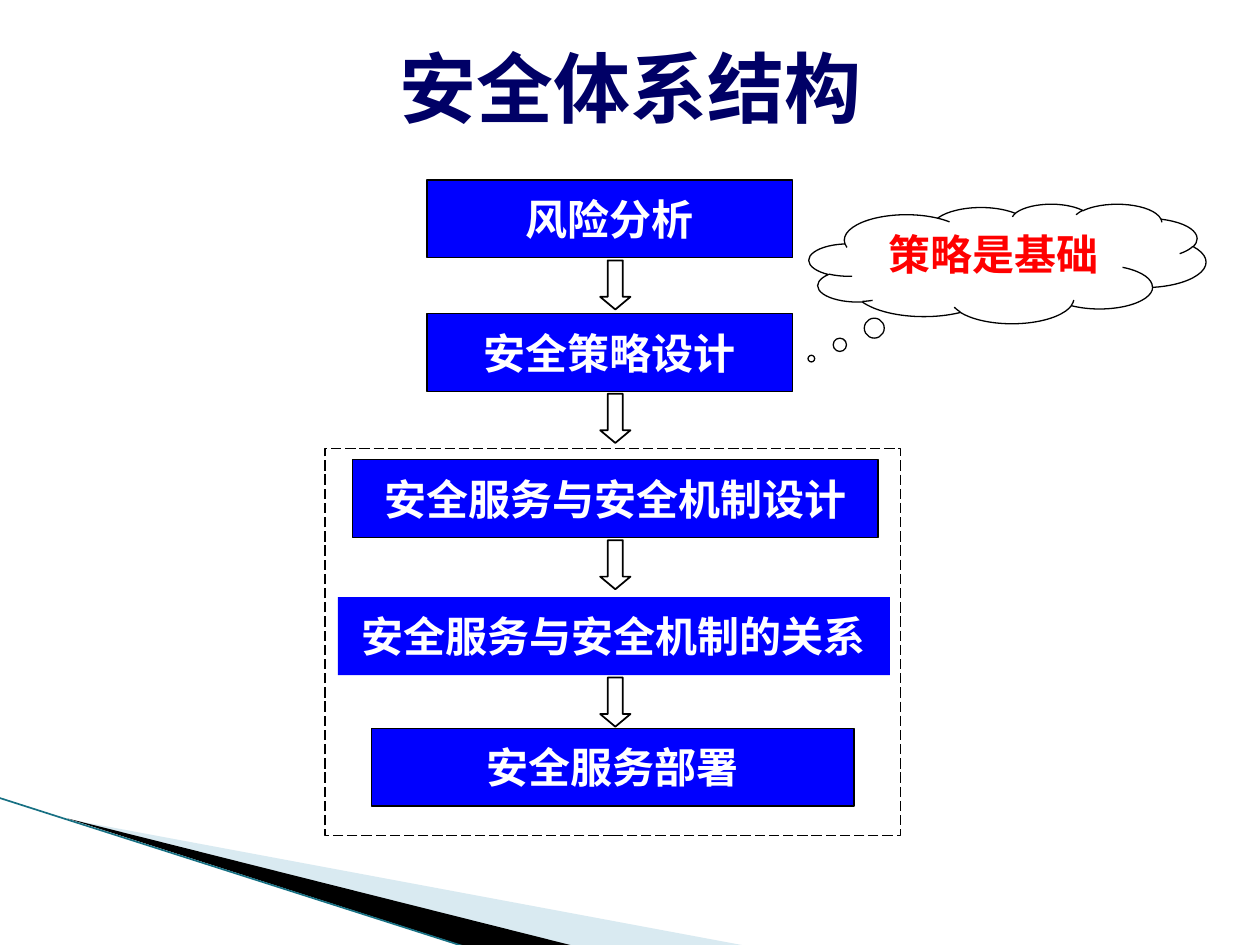
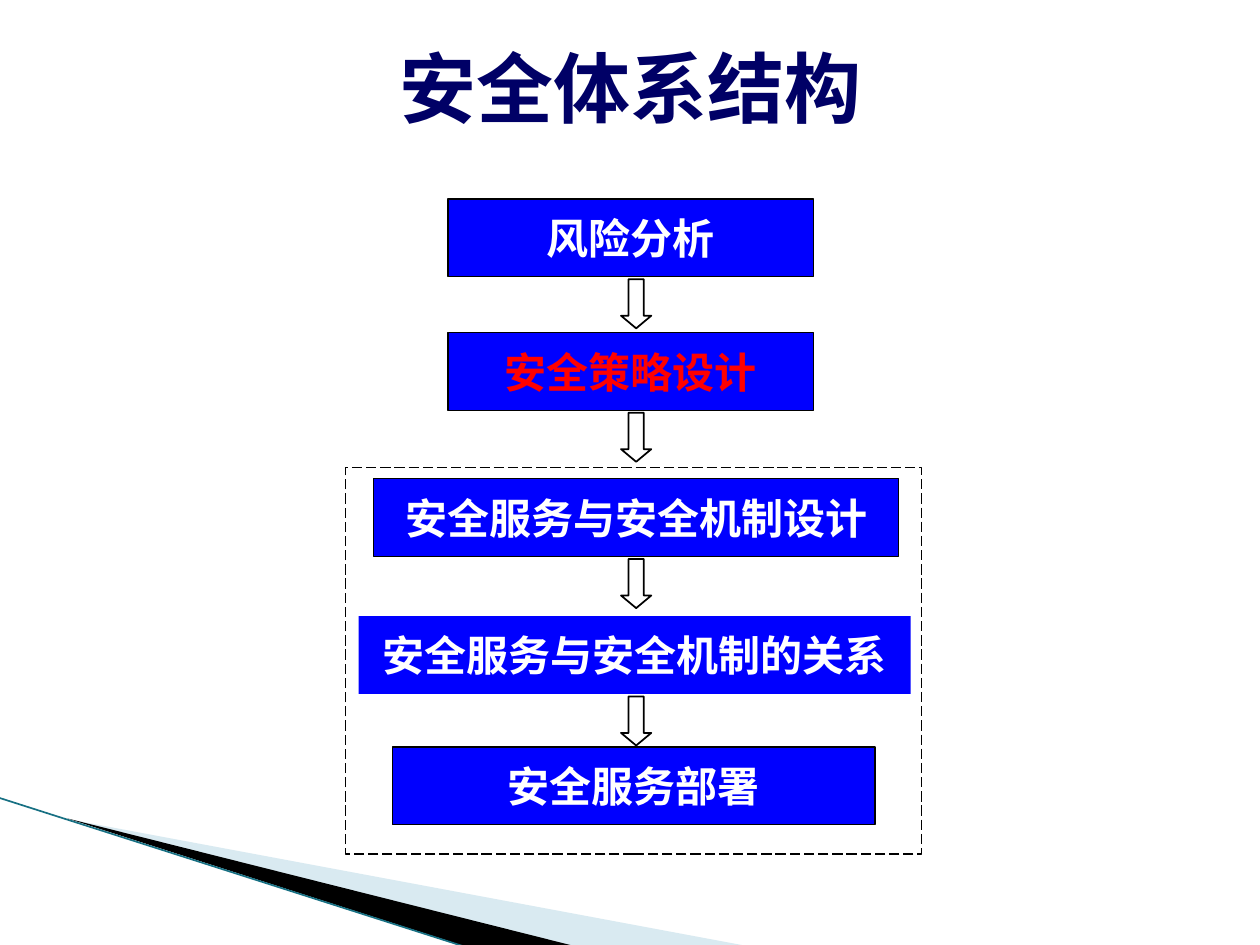
from dataclasses import dataclass
from typing import Optional

import pptx
import pptx.dml.color
import pptx.enum.dml
import pptx.enum.shapes
import pptx.enum.text
import pptx.oxml.ns
import pptx.oxml.xmlchemy
import pptx.util
from pptx.util import Cm

SHAPES = pptx.enum.shapes.MSO_SHAPE
ANCHORS = pptx.enum.text.MSO_ANCHOR

COLOURS = {
    "title": "000066",
    "step": "0000FF",
    "white": "FFFFFF",
    "black": "000000",
    "accent": "FF0000",
    "pale_wedge": "A0CBDC",
    "edge": "177083",
}
TITLE_FONT, BODY_FONT = "Courier New", "Karla"
STEP_HEIGHT = 1.57
ARROW_LEFT, ARROW_WIDTH, ARROW_HEIGHT, ARROW_GAP = 12.1, 0.61, 0.99, 0.05


@dataclass(frozen=True)
class Step:
    text: str
    left: float
    top: float
    width: float
    outlined: bool = True


@dataclass(frozen=True)
class Wedge:
    points: tuple
    colour: str
    opacity: int = 100


STEPS = (
    Step("风险分析", 8.61, 3.63, 7.37),
    Step("安全策略设计", 8.61, 6.32, 7.37),
    Step("安全服务与安全机制设计", 7.11, 9.27, 10.59),
    Step("安全服务与安全机制的关系", 6.81, 12.04, 11.13, outlined=False),
    Step("安全服务部署", 7.49, 14.68, 9.73),
)
WEDGES = (
    Wedge(((1.4, 16.52), (15.11, 19.08), (11.58, 19.08)), "pale_wedge", 40),
    Wedge(((1.36, 16.5), (11.61, 19.08), (9.45, 19.1)), "black"),
)


def rgb(name: str) -> pptx.dml.color.RGBColor:
    return pptx.dml.color.RGBColor.from_string(COLOURS[name])


def write(box, text: str, *, colour: str, size: float = 24, font: str = BODY_FONT,
          anchor=ANCHORS.MIDDLE, wrap: bool = True) -> None:
    frame = box.text_frame
    frame.word_wrap = wrap
    frame.vertical_anchor = anchor
    para = frame.paragraphs[0]
    para.alignment = pptx.enum.text.PP_ALIGN.CENTER
    span = para.add_run()
    span.text = text
    span.font.name = font
    span.font.size = pptx.util.Pt(size)
    span.font.bold = True
    span.font.color.rgb = rgb(colour)


def add_shape(page, kind, left: float, top: float, width: float, height: float, *,
              fill: Optional[str] = None, line_width: float = 0.75):
    """Place a preset shape, in centimetres; a line width of 0 means no outline."""
    shape = page.shapes.add_shape(kind, Cm(left), Cm(top), Cm(width), Cm(height))
    shape.shadow.inherit = False
    if fill:
        shape.fill.solid()
        shape.fill.fore_color.rgb = rgb(fill)
    else:
        shape.fill.background()
    if line_width:
        shape.line.color.rgb = rgb("black")
        shape.line.width = pptx.util.Pt(line_width)
    else:
        shape.line.fill.background()
    return shape


def add_wedge(page, wedge: Wedge) -> None:
    start, *others = [(Cm(x), Cm(y)) for x, y in wedge.points]
    builder = page.shapes.build_freeform(*start)
    builder.add_line_segments(others, close=True)
    shape = builder.convert_to_shape()
    shape.shadow.inherit = False
    shape.line.fill.background()
    shape.fill.solid()
    shape.fill.fore_color.rgb = rgb(wedge.colour)
    if wedge.opacity < 100:
        colour = shape._element.spPr.find(".//" + pptx.oxml.ns.qn("a:srgbClr"))
        alpha = pptx.oxml.xmlchemy.OxmlElement("a:alpha")
        alpha.set("val", str(wedge.opacity * 1000))
        colour.append(alpha)


def add_corner_edge(page) -> None:
    edge = page.shapes.add_connector(
        pptx.enum.shapes.MSO_CONNECTOR.STRAIGHT,
        Cm(-0.03), Cm(16.08), Cm(9.42), Cm(19.1))
    edge.line.color.rgb = rgb("edge")
    edge.line.width = pptx.util.Pt(0.95)
    edge._element.spPr.append(pptx.oxml.xmlchemy.OxmlElement("a:effectLst"))


def add_page(deck, title: str):
    """Add a page with the corner decoration and the title."""
    page = deck.slides.add_slide(deck.slide_layouts[6])
    for wedge in WEDGES:
        add_wedge(page, wedge)
    add_corner_edge(page)
    box = page.shapes.add_textbox(Cm(0.51), Cm(0.56), Cm(24.41), Cm(2.36))
    write(box, title, colour="title", size=44, font=TITLE_FONT)
    return page


def add_cloud(page, text: str) -> None:
    cloud = add_shape(page, SHAPES.CLOUD_CALLOUT, 16.31, 4.11, 8, 2.41, fill="white")
    cloud.adjustments[0], cloud.adjustments[1] = -0.494, 0.795
    write(cloud, text, colour="accent", anchor=ANCHORS.TOP)


def add_flow(page, *, right: float = 0, down: float = 0,
             highlighted: Optional[int] = None) -> None:
    """Draw the chain of steps, moved right and down by the given centimetres."""
    frame = add_shape(page, SHAPES.RECTANGLE, 6.55 + right, 9.04 + down, 11.61, 7.8,
                      fill="white")
    frame.line.dash_style = pptx.enum.dml.MSO_LINE.LONG_DASH
    for index, step in enumerate(STEPS):
        box = add_shape(page, SHAPES.RECTANGLE, step.left + right, step.top + down,
                        step.width, STEP_HEIGHT, fill="step",
                        line_width=0.75 if step.outlined else 0)
        write(box, step.text, wrap=False,
              colour="accent" if index == highlighted else "white")
    for step in STEPS[:-1]:
        arrow = add_shape(page, SHAPES.DOWN_ARROW, ARROW_LEFT + right,
                          step.top + STEP_HEIGHT + ARROW_GAP + down,
                          ARROW_WIDTH, ARROW_HEIGHT, line_width=1)
        arrow.adjustments[0], arrow.adjustments[1] = 0.5, 0.417


def main() -> None:
    deck = pptx.Presentation()
    deck.slide_width, deck.slide_height = Cm(25.4), Cm(19.05)
    title = "安全体系结构"

    overview = add_page(deck, title)
    add_cloud(overview, "策略是基础")
    add_flow(overview)

    policy = add_page(deck, title)
    add_flow(policy, right=0.42, down=0.38, highlighted=1)

    deck.save("out.pptx")


if __name__ == "__main__":
    main()
